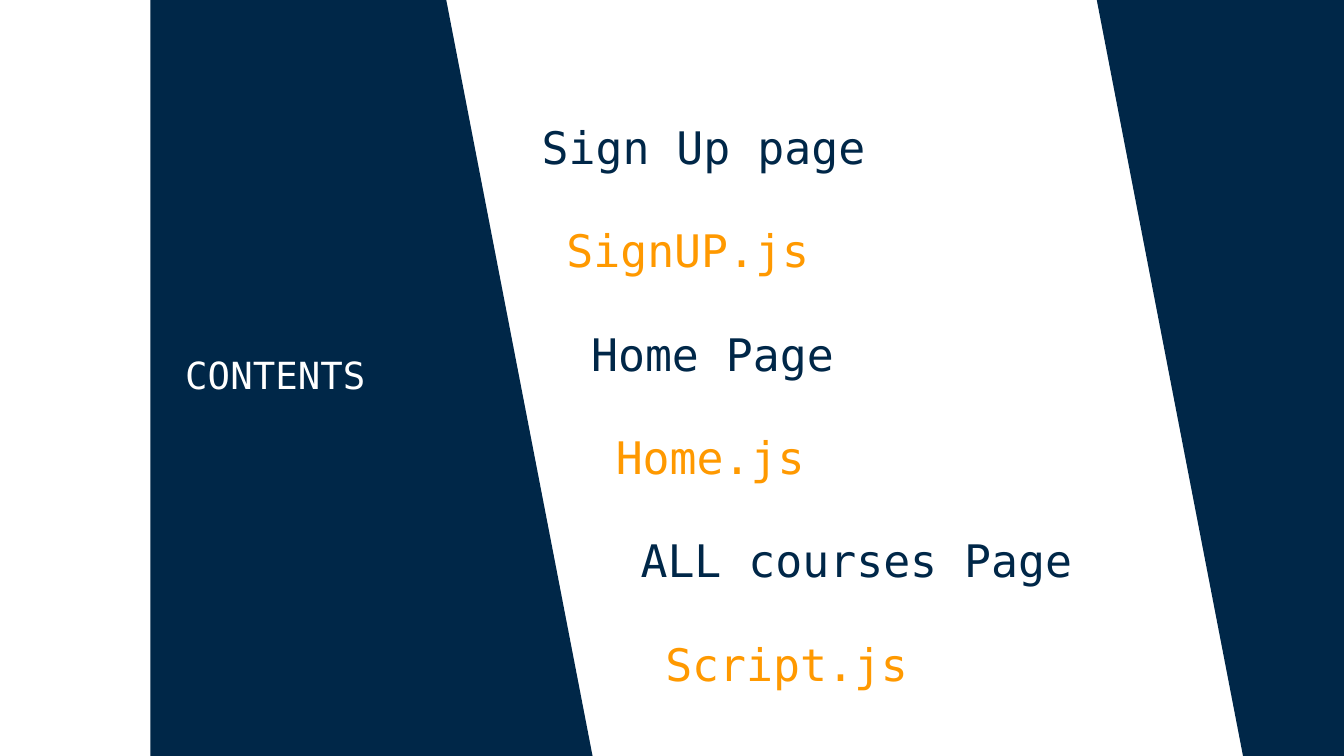
from pptx import Presentation
from pptx import util as u
from pptx.dml.color import RGBColor
from pptx.enum import text

WIDTH = u.Inches(10)
HEIGHT = u.Emu(WIDTH * 9 // 16)
COL, ROW = WIDTH / 100, HEIGHT / 100

NAVY = RGBColor(0x00, 0x27, 0x48)
ORANGE = RGBColor(0xFF, 0x99, 0x00)
WHITE = RGBColor(0xFF, 0xFF, 0xFF)

FONT = "DejaVu Sans Mono"
ENTRIES = ["Sign Up page", "SignUP.js", "Home Page",
           "Home.js", "ALL courses Page", "Script.js"]
ENTRY_FRAME = {"margin_left": u.Inches(0.07), "margin_right": u.Inches(0.07),
               "margin_top": u.Inches(0.04), "margin_bottom": u.Inches(0.04)}


def cols(n):
    return u.Emu(round(n * COL))


def rows(n):
    return u.Emu(round(n * ROW))


def set_all(target, values):
    for name, value in values.items():
        setattr(target, name, value)


def add_panel(s, corners):
    points = [(cols(x), rows(y)) for x, y in corners]
    builder = s.shapes.build_freeform(*points[0])
    builder.add_line_segments(points[1:], close=True)
    sp = builder.convert_to_shape()
    sp.shadow.inherit = False
    sp.fill.solid()
    sp.fill.fore_color.rgb = NAVY
    sp.line.fill.background()


def add_label(s, words, box, size, color, paragraph, frame):
    x, y, w, h = box
    sp = s.shapes.add_textbox(cols(x), rows(y), cols(w), rows(h))
    tf = sp.text_frame
    set_all(tf, {"word_wrap": True,
                 "auto_size": text.MSO_AUTO_SIZE.SHAPE_TO_FIT_TEXT, **frame})
    p = tf.paragraphs[0]
    set_all(p, paragraph)
    r = p.add_run()
    r.text = words
    set_all(r.font, {"name": FONT, "size": u.Pt(size)})
    r.font.color.rgb = color


def add_entries(s):
    for i, words in enumerate(ENTRIES):
        box = (39.6 + 1.84 * i, 13 + 13.67 * i, 40.2, 10.67)
        add_label(s, words, box, 24, (NAVY, ORANGE)[i % 2],
                  {"line_spacing": 1.3}, ENTRY_FRAME)


def main():
    prs = Presentation()
    set_all(prs, {"slide_width": WIDTH, "slide_height": HEIGHT})
    s = prs.slides.add_slide(prs.slide_layouts[6])
    s.background.fill.solid()
    s.background.fill.fore_color.rgb = WHITE
    add_panel(s, [(11.2, -1), (11.2, 101), (44.2, 101), (33.1, -1)])
    add_entries(s)
    add_panel(s, [(114.5, 101), (114.5, -1), (81.5, -1), (92.6, 101)])
    add_label(s, "CONTENTS", (12.8, 45.7, 22.1, 8.2), 20, WHITE,
              {"alignment": text.PP_ALIGN.JUSTIFY}, {})
    prs.save("out.pptx")


if __name__ == "__main__":
    main()
